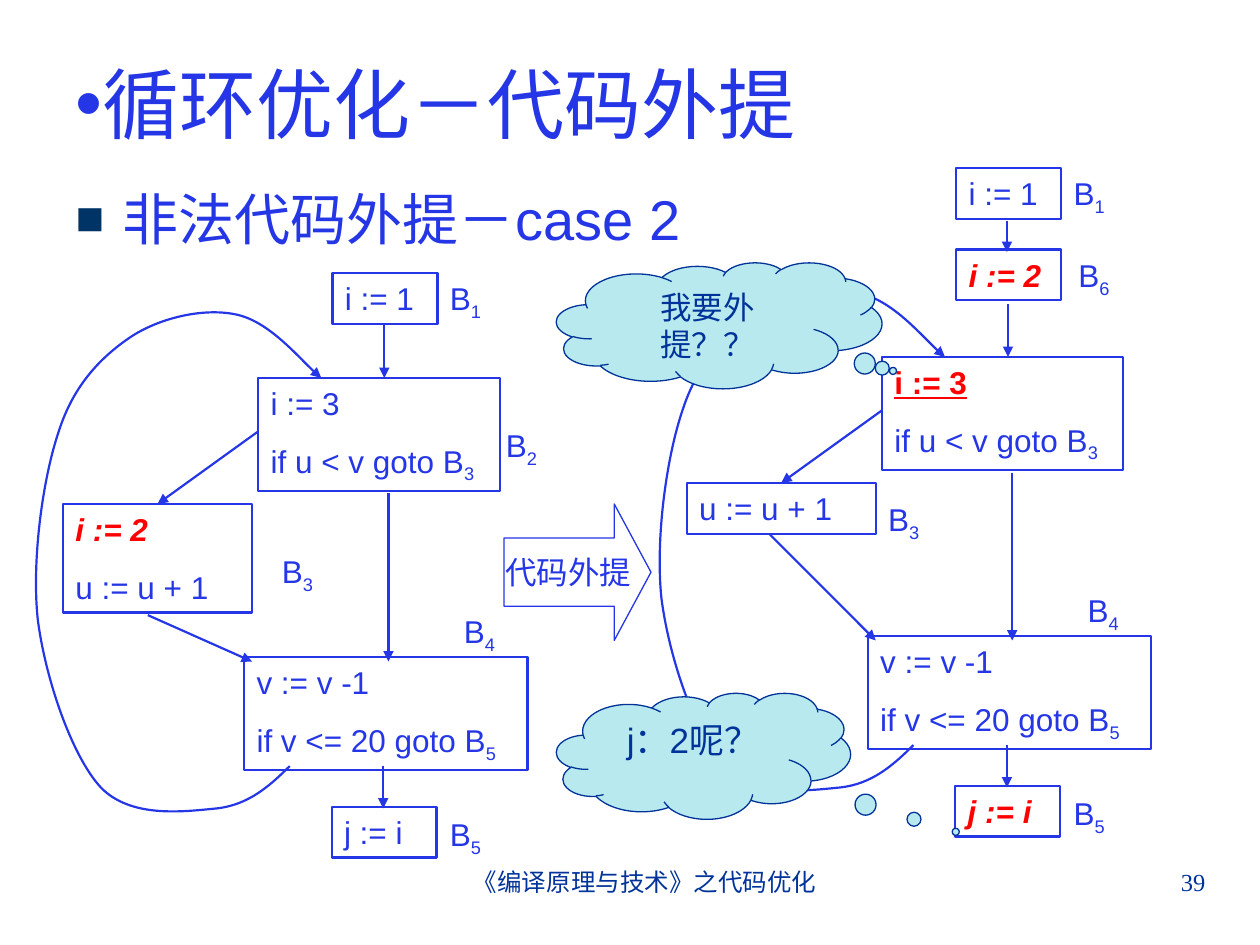
from lxml import etree
from pptx import Presentation
from pptx.dml.color import RGBColor
from pptx.enum import shapes as kinds, text as txt
from pptx.oxml import ns
from pptx.util import Pt

COLORS = {"ink": "2436E6", "moved": "FF0000", "bullet": "003366",
          "cloud": "B8E9EE", "navy": "003399"}
rgb = {name: RGBColor.from_string(value) for name, value in COLORS.items()}
ALIGN = txt.PP_ALIGN


def write(frame, lines, size=18, color="ink", face="Arial", align=ALIGN.LEFT,
          anchor=txt.MSO_ANCHOR.TOP, bullet=None):
    frame.word_wrap = True
    frame.auto_size = txt.MSO_AUTO_SIZE.NONE
    frame.vertical_anchor = anchor
    for index, (line, style) in enumerate(lines):
        para = frame.paragraphs[0] if index == 0 else frame.add_paragraph()
        para.alignment = align
        para.space_before = Pt(11.2 if index else 0)
        if bullet:
            char, tint, percent, indent = bullet
            props = para._p.get_or_add_pPr()
            props.set("marL", str(Pt(indent)))
            props.set("indent", str(-Pt(indent)))
            tint_el = etree.SubElement(props, ns.qn("a:buClr"))
            etree.SubElement(tint_el, ns.qn("a:srgbClr"), val=COLORS[tint])
            etree.SubElement(props, ns.qn("a:buSzPct"), val=str(percent * 1000))
            etree.SubElement(props, ns.qn("a:buFont"), typeface="Arial")
            etree.SubElement(props, ns.qn("a:buChar"), char=char)
        para.font.name = face
        para.font.size = Pt(size)
        para.font.color.rgb = rgb["moved" if style else color]
        para.font.bold = bool(style)
        para.font.italic = style == "italic"
        para.font.underline = style == "underline"
        base, _, subscript = line.partition("_")
        para.add_run().text = base
        if subscript:
            low = para.add_run()
            low.text = subscript
            low._r.get_or_add_rPr().set("baseline", "-25000")


def outline(item, color="ink", width=1.25, arrow=False):
    item.line.color.rgb = rgb[color]
    item.line.width = Pt(width)
    if arrow:
        etree.SubElement(item.line._get_or_add_ln(), ns.qn("a:tailEnd"), type="triangle")


prs = Presentation()
prs.slide_width, prs.slide_height = Pt(720), Pt(540)
slide = prs.slides.add_slide(prs.slide_layouts[1])

title, body = slide.placeholders
title.left, title.top, title.width, title.height = Pt(36), Pt(21.6), Pt(648), Pt(74)
write(title.text_frame, [("循环优化－代码外提", "")], 44,
      anchor=txt.MSO_ANCHOR.MIDDLE, bullet=("•", "ink", 100, 0))
body.left, body.top, body.width, body.height = Pt(36), Pt(102), Pt(648), Pt(380)
write(body.text_frame, [("非法代码外提－case 2", "")], 32,
      bullet=("■", "bullet", 85, 27))

motion = slide.shapes.add_shape(kinds.MSO_SHAPE.RIGHT_ARROW, Pt(288), Pt(288), Pt(84), Pt(78))
motion.adjustments[0], motion.adjustments[1] = 0.5, 0.269
motion.shadow.inherit = False
motion.fill.background()
outline(motion, width=0.75)
write(motion.text_frame, [("代码外提", "")], align=ALIGN.CENTER, anchor=txt.MSO_ANCHOR.MIDDLE)
motion.text_frame.word_wrap = False

test_u = ("if u < v goto B_3", "")
loop_end = [("v := v -1", ""), ("if v <= 20 goto B_5", "")]
step_u = ("u := u + 1", "")

before = {
    "offset": (0, 0),
    "blocks": [
        (190, 156, 60, 29, [("i := 1", "")]),
        (147.6, 216, 138, 64.5, [("i := 3", ""), test_u]),
        (36, 288, 108, 62, [("i := 2", "italic"), step_u]),
        (139.5, 375.5, 162, 64.5, loop_end),
        (189.5, 461, 60, 29, [("j := i", "")]),
    ],
    "labels": [("B_1", 250, 156), ("B_2", 282, 240), ("B_3", 154, 312),
               ("B_4", 258, 346), ("B_5", 250, 462)],
    "edges": [(219.6, 186, 219.6, 216), (84.5, 351.5, 144, 378)],
}
after = {
    "offset": (356.4, -12),
    "blocks": [
        (190, 108, 60, 29, [("i := 1", "")]),
        (190, 154.6, 60, 29, [("i := 2", "italic")]),
        (147.6, 216, 138, 64.5, [("i := 3", "underline"), test_u]),
        (36, 288, 108, 29, [step_u]),
        (139.5, 375.5, 162, 64.5, loop_end),
        (189.5, 461, 60, 29, [("j := i", "italic")]),
    ],
    "labels": [("B_1", 250, 108), ("B_6", 252.7, 154.6), ("B_3", 144, 294),
               ("B_4", 258, 346), ("B_5", 250, 462)],
    "edges": [(219, 138, 219, 156), (219.6, 186, 219.6, 216), (83.6, 317.5, 144, 378)],
}
shared_edges = [(147.6, 246.5, 90, 288), (219, 438, 219, 462), (222, 282, 222, 378)]
back_edge = [
    (165.6, 437.8), (154, 449.3), (142, 460), (123.8, 462),
    (105.8, 463.7), (75, 468), (57.6, 450), (41, 432), (26, 388), (21.6, 354),
    (18, 320), (24.5, 273), (33.8, 246), (42.5, 219), (59, 203), (75.6, 192),
    (93, 181), (118, 175.7), (136, 180), (154, 184.3), (175.7, 210), (183.6, 216),
]

for graph in (before, after):
    dx, dy = graph["offset"]
    parts = slide.shapes.add_group_shape().shapes
    for x, y, width, height, code in graph["blocks"]:
        block = parts.add_shape(kinds.MSO_SHAPE.RECTANGLE, Pt(x + dx), Pt(y + dy),
                                Pt(width), Pt(height))
        block.shadow.inherit = False
        block.fill.background()
        outline(block)
        write(block.text_frame, code)
    for name, x, y in graph["labels"]:
        label = parts.add_textbox(Pt(x + dx), Pt(y + dy), Pt(60), Pt(32))
        write(label.text_frame, [(name, "")])
    for x1, y1, x2, y2 in graph["edges"] + shared_edges:
        edge = parts.add_connector(kinds.MSO_CONNECTOR.STRAIGHT, Pt(x1 + dx), Pt(y1 + dy),
                                   Pt(x2 + dx), Pt(y2 + dy))
        outline(edge, arrow=True)
        etree.SubElement(edge._element.spPr, ns.qn("a:effectLst"))

    route = [(Pt(x + dx), Pt(y + dy)) for x, y in back_edge]
    builder = parts.build_freeform(*route[0])
    builder.add_line_segments(route[1:], close=False)
    loop = builder.convert_to_shape()
    loop.shadow.inherit = False
    loop.fill.background()
    outline(loop, arrow=True)
    steps = loop._element.xpath(".//a:lnTo")
    for start in range(0, len(steps), 3):
        curve = etree.SubElement(steps[start].getparent(), ns.qn("a:cubicBezTo"))
        for step in steps[start:start + 3]:
            curve.append(step[0])
            step.getparent().remove(step)

for y, width, tip, size, inset, remark in [
    (396, 168, (0.858, 0.602), 20, 7.2, "j：2呢？"),
    (150, 186, (0.534, 0.361), 18, 20, "我要外提？？"),
]:
    cloud = slide.shapes.add_shape(kinds.MSO_SHAPE.CLOUD_CALLOUT, Pt(318), Pt(y),
                                   Pt(width), Pt(72))
    cloud.adjustments[0], cloud.adjustments[1] = tip
    cloud.shadow.inherit = False
    cloud.fill.solid()
    cloud.fill.fore_color.rgb = rgb["cloud"]
    outline(cloud, "navy", 0.75)
    write(cloud.text_frame, [(remark, "")], size, "navy", align=ALIGN.CENTER)
    cloud.text_frame.margin_left = cloud.text_frame.margin_right = Pt(inset)

for x, width, align, note in [
    (246, 228, ALIGN.CENTER, "《编译原理与技术》之代码优化"),
    (516, 180, ALIGN.RIGHT, "39"),
]:
    footer = slide.shapes.add_textbox(Pt(x), Pt(492), Pt(width), Pt(37.5))
    write(footer.text_frame, [(note, "")], 14, "navy", "Times New Roman", align)
    footer.text_frame.paragraphs[0]._p.get_or_add_pPr().set("marL", str(Pt(17)))

prs.save("out.pptx")
